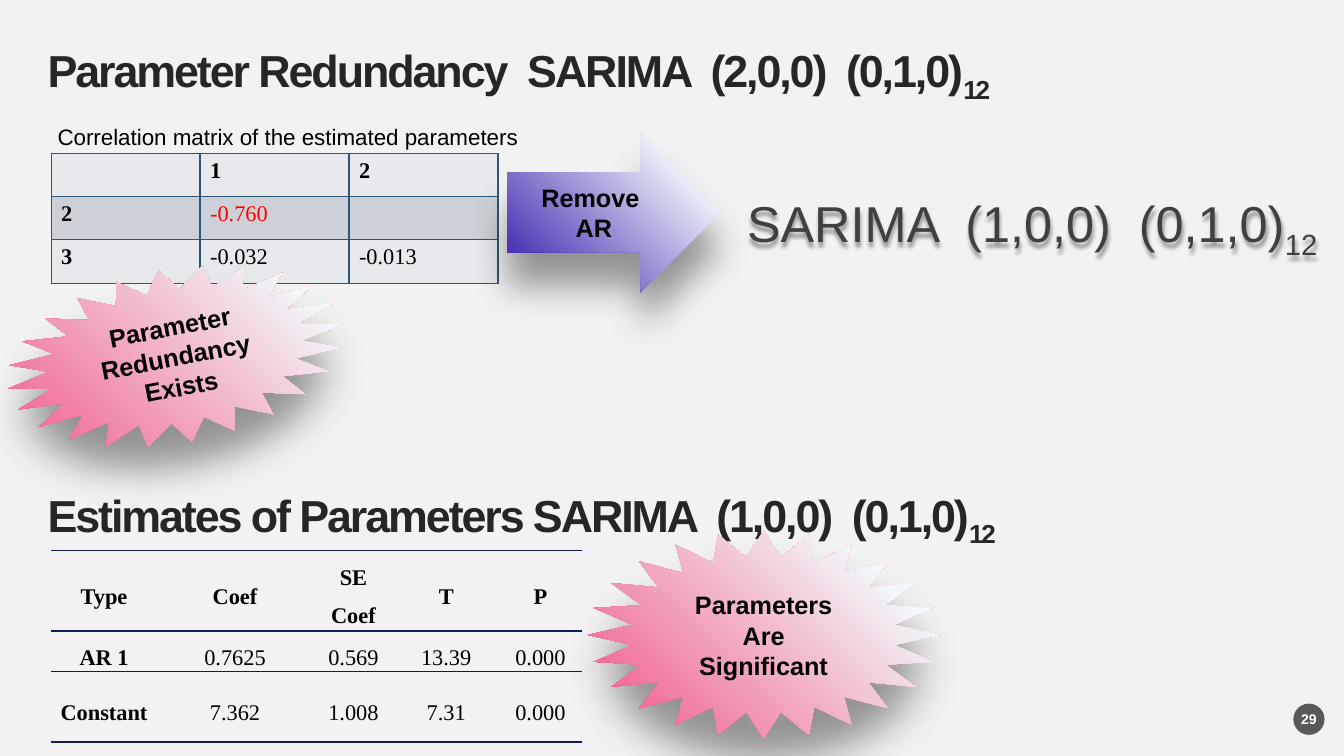
"""Build a slide on parameter redundancy in a seasonal ARIMA model."""
import pptx
import pptx.dml.color
import pptx.enum.shapes
import pptx.enum.text
import pptx.oxml
import pptx.oxml.ns
import pptx.util

Pt = pptx.util.Pt
SHAPE = pptx.enum.shapes.MSO_SHAPE
ALIGN = pptx.enum.text.PP_ALIGN
MIDDLE = pptx.enum.text.MSO_ANCHOR.MIDDLE
NS = pptx.oxml.ns.nsdecls("a")
NO_STYLE = "{2D5ABB26-0587-4C30-8999-92F81FD0307C}"


def rgb(code):
    return pptx.dml.color.RGBColor.from_string(code)


def write(tf, paragraphs, size, color="000000", bold=False, font="Arial",
          align=ALIGN.LEFT, spacing=1.0, tracking=0):
    """Write paragraphs of runs; any run after the first is a subscript."""
    tf.word_wrap = True
    for i, runs in enumerate(paragraphs):
        p = tf.paragraphs[0] if i == 0 else tf.add_paragraph()
        p.alignment = align
        p.line_spacing = spacing
        for j, text in enumerate(runs):
            r = p.add_run()
            r.text = text
            r.font.size = Pt(size)
            r.font.name = font
            r.font.bold = bold
            r.font.color.rgb = rgb(color)
            if tracking:
                r.font._element.set("spc", str(tracking))
            if j:
                r.font._element.set("baseline", "-25000")


prs = pptx.Presentation()
prs.slide_width, prs.slide_height = Pt(960), Pt(540)
s = prs.slides.add_slide(prs.slide_layouts[6])
s.background.fill.solid()
s.background.fill.fore_color.rgb = rgb("F2F2F2")

headings = [
    (34, 34, 892, "Parameter Redundancy  SARIMA  (2,0,0)  (0,1,0)"),
    (352, 33.5, 855, "Estimates of Parameters SARIMA  (1,0,0)  (0,1,0)"),
]
for top, height, width, text in headings:
    tf = s.shapes.add_textbox(Pt(34), Pt(top), Pt(width), Pt(height)).text_frame
    tf.margin_left = tf.margin_top = tf.margin_right = tf.margin_bottom = 0
    tf.vertical_anchor = MIDDLE
    write(tf, [[text, "12"]], 32, "262626", True, spacing=0.9, tracking=-150)

page = s.shapes.add_shape(SHAPE.OVAL, Pt(923.8), Pt(502.6), Pt(22.3), Pt(22.3))
page.shadow.inherit = False
page.fill.solid()
page.fill.fore_color.rgb = rgb("595959")
page.line.fill.background()
tf = page.text_frame
tf.margin_left = tf.margin_top = tf.margin_right = tf.margin_bottom = 0
tf.vertical_anchor = MIDDLE
write(tf, [["29"]], 10, "FFFFFF", True, align=ALIGN.CENTER)

correlations = [["", "1", "2"], ["2", "-0.760", ""], ["3", "-0.032", "-0.013"]]
estimates = [
    ["Type", "Coef", "SE Coef", "T", "P"],
    ["AR 1", "0.7625", "0.569", "13.39", "0.000"],
    ["Constant", "7.362", "1.008", "7.31", "0.000"],
]
tables = [
    (correlations, 109.4, [106.4] * 3, [31] * 3, "2C567A", ["LRTB"] * 3,
     ["E8E9EC", "CDD1D7", "E8E9EC"]),
    (estimates, 393.2, [75.6, 111.6, 57.6, 74.9, 59.8], [50.4, 26.6, 50.4],
     "0D1D51", ["TB", "T", "B"], None),
]
for rows, top, widths, heights, border, sides, fills in tables:
    frame = s.shapes.add_table(len(rows), len(widths), Pt(36.5), Pt(top),
                               Pt(sum(widths)), Pt(sum(heights)))
    table = frame.table
    table.first_row = table.horz_banding = False
    table._tbl.tblPr[0].text = NO_STYLE
    for column, width in zip(table.columns, widths):
        column.width = Pt(width)
    for i, row in enumerate(rows):
        table.rows[i].height = Pt(heights[i])
        for j, text in enumerate(row):
            cell = table.cell(i, j)
            for side in sides[i]:
                cell._tc.get_or_add_tcPr().append(pptx.oxml.parse_xml(
                    f'<a:ln{side} {NS} w="12700"><a:solidFill>'
                    f'<a:srgbClr val="{border}"/></a:solidFill></a:ln{side}>'))
            align, spacing = ALIGN.LEFT, 1.0
            if fills:
                cell.fill.solid()
                cell.fill.fore_color.rgb = rgb(fills[i])
            else:
                cell.fill.background()
                cell.margin_left = cell.margin_right = Pt(5)
                cell.margin_top = cell.margin_bottom = 0
                cell.vertical_anchor = MIDDLE
                align, spacing = ALIGN.CENTER, 1.5
            if text:
                color = "FF0000" if text == "-0.760" else "000000"
                write(cell.text_frame, [[text]], 16, color, i == 0 or j == 0,
                      "Times New Roman", align, spacing)

caption = s.shapes.add_textbox(Pt(34), Pt(75), Pt(538), Pt(36))
write(caption.text_frame, [["Correlation matrix of the estimated parameters"]],
      16, spacing=1.5)

callouts = [
    (SHAPE.STAR_24_POINT, 3.6, 192.2, 243.4, 124.6, 349.1, "F15183",
     [["Parameter Redundancy Exists"]]),
    (SHAPE.RIGHT_ARROW, 362.2, 94.3, 152.6, 114.5, 0, "3013A9",
     [["Remove "], ["AR"]]),
    (SHAPE.STAR_24_POINT, 419.8, 379.4, 251.3, 148.3, 0, "F15183",
     [["Parameters Are"], ["Significant"]]),
]
for kind, left, top, width, height, turn, color, lines in callouts:
    sp = s.shapes.add_shape(kind, Pt(left), Pt(top), Pt(width), Pt(height))
    sp.rotation = turn
    sp.line.fill.background()
    sp.shadow.inherit = False
    spPr = sp._element.spPr
    spPr.insert(2, pptx.oxml.parse_xml(
        f'<a:gradFill {NS} rotWithShape="1"><a:gsLst>'
        '<a:gs pos="18000"><a:srgbClr val="F2F7FA"/></a:gs>'
        f'<a:gs pos="100000"><a:srgbClr val="{color}"/></a:gs></a:gsLst>'
        '<a:path path="circle"><a:fillToRect l="100000" b="100000"/></a:path>'
        '</a:gradFill>'))
    spPr.find(pptx.oxml.ns.qn("a:effectLst")).append(pptx.oxml.parse_xml(
        f'<a:outerShdw {NS} blurRad="{Pt(26)}" dist="{Pt(24)}" dir="5400000" '
        'rotWithShape="0"><a:srgbClr val="000000"><a:alpha val="39000"/>'
        '</a:srgbClr></a:outerShdw>'))
    sp.text_frame.vertical_anchor = MIDDLE
    write(sp.text_frame, lines, 18, bold=True, align=ALIGN.CENTER)

model = s.shapes.add_textbox(Pt(504), Pt(134.6), Pt(466.6), Pt(42.5))
write(model.text_frame, [["SARIMA  (1,0,0)  (0,1,0)", "12"]], 36, "404040",
      align=ALIGN.CENTER, spacing=0.9)
model.text_frame.paragraphs[0].space_before = Pt(10)
model._element.spPr.append(pptx.oxml.parse_xml(
    f'<a:effectLst {NS}><a:outerShdw blurRad="{Pt(3)}" dist="{Pt(3)}" '
    'dir="5400000"><a:srgbClr val="000000"><a:alpha val="40000"/></a:srgbClr>'
    '</a:outerShdw></a:effectLst>'))

prs.save("out.pptx")
